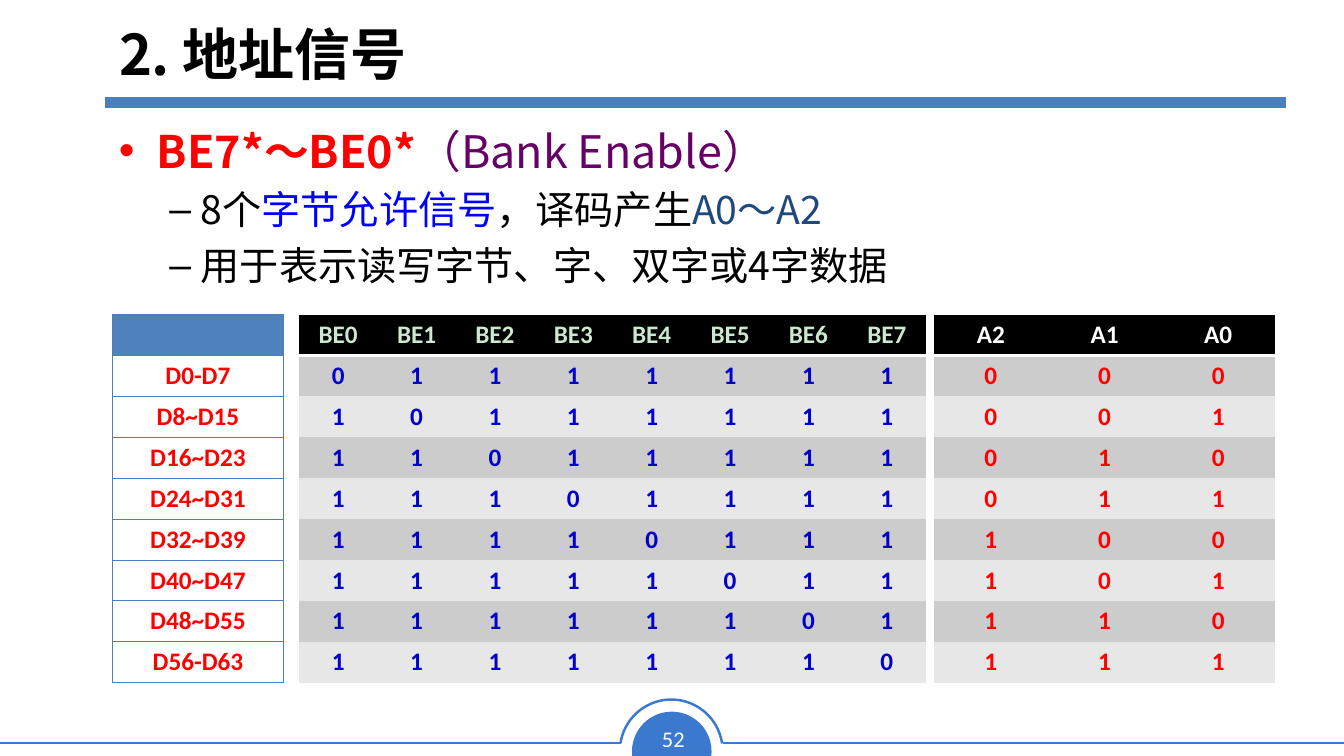
from lxml.etree import SubElement
from pptx import Presentation
from pptx.dml.color import RGBColor
from pptx.enum.shapes import MSO_CONNECTOR, MSO_SHAPE
from pptx.enum.text import MSO_ANCHOR, PP_ALIGN
from pptx.oxml.ns import qn
from pptx.util import Pt

COLORS = {
    "black": "000000", "white": "FFFFFF", "red": "FF0000", "purple": "660066",
    "blue": "0000FF", "navy": "1F497D", "digit": "0000CC", "mint": "CCE8CF",
    "rule": "4B7EBC", "footer": "3B79CE", "header": "4F81BD",
    "dark band": "CCCCCC", "light band": "E7E7E7",
}
CJK_FONT = "Noto Sans CJK SC"
TABLE_TOP, ROW_HEIGHT = 224.8, 29.2
PLAIN_TABLE_STYLE = "{2D5ABB26-0587-4C30-8999-92F81FD0307C}"


def color(name):
    return RGBColor.from_string(COLORS[name])


def format_span(span, size, color_name, bold=False, face="Calibri"):
    font = span.font
    font.size, font.bold, font.name = Pt(size), bold, face
    font.color.rgb = color(color_name)
    SubElement(font._element, qn("a:ea"), typeface=face)


def add_line(page, start, end, color_name, width):
    line = page.shapes.add_connector(MSO_CONNECTOR.STRAIGHT, *map(Pt, start + end))
    line.line.color.rgb = color(color_name)
    line.line.width = Pt(width)
    SubElement(line._element.spPr, qn("a:effectLst"))


def add_round(page, kind, left, top, size, angles):
    shape = page.shapes.add_shape(kind, Pt(left), Pt(top), Pt(size), Pt(size))
    shape.shadow.inherit = False
    shape.adjustments[0], shape.adjustments[1] = angles
    return shape


def add_box(page, left, top, width, height, wrap=True):
    box = page.shapes.add_textbox(Pt(left), Pt(top), Pt(width), Pt(height))
    box.text_frame.word_wrap = wrap
    return box.text_frame


def add_bullet(para, mark, indent, hanging):
    properties = para._p.get_or_add_pPr()
    properties.set("marL", str(Pt(indent)))
    properties.set("indent", str(-Pt(hanging)))
    SubElement(properties, qn("a:buFont"), typeface="Arial")
    SubElement(properties, qn("a:buChar"), char=mark)


def set_borders(cell, sides, color_name, width):
    properties = cell._tc.get_or_add_tcPr()
    for position, side in enumerate(sides):
        line = SubElement(properties, qn(f"a:ln{side}"), w=str(Pt(width)))
        fill = SubElement(line, qn("a:solidFill"))
        SubElement(fill, qn("a:srgbClr"), val=COLORS[color_name])
        properties.insert(position, line)


def add_grid(page, left, column_width, rows, header_color, body_color, banded=True):
    count = len(rows[0])
    frame = page.shapes.add_table(len(rows), count, Pt(left), Pt(TABLE_TOP),
                                  Pt(column_width * count), Pt(ROW_HEIGHT * len(rows)))
    table = frame.table
    table._tbl.tblPr.find(qn("a:tableStyleId")).text = PLAIN_TABLE_STYLE
    table.horz_banding = False
    for column in table.columns:
        column.width = Pt(column_width)
    for index, values in enumerate(rows):
        table.rows[index].height = Pt(ROW_HEIGHT)
        for cell, value in zip(table.rows[index].cells, values):
            cell.text = value
            cell.margin_left = cell.margin_right = Pt(9.4)
            para = cell.text_frame.paragraphs[0]
            para.alignment = PP_ALIGN.CENTER
            for span in para.runs:
                format_span(span, 18, body_color if index else header_color, True)
            if banded:
                band = "dark band" if index % 2 else "light band"
                cell.fill.solid()
                cell.fill.fore_color.rgb = color(band if index else "black")
                if index == 0:
                    set_borders(cell, "B", "white", 2)
            else:
                if index:
                    cell.fill.background()
                else:
                    cell.fill.solid()
                    cell.fill.fore_color.rgb = color("header")
                set_borders(cell, "LRTB", "rule", 0.75)


def add_footer(page):
    dome = add_round(page, MSO_SHAPE.CHORD, 451.4, 508.3, 56.9, (35.77, 153.29))
    dome.rotation = 112.4
    dome.fill.solid()
    dome.fill.fore_color.rgb = color("footer")
    dome.line.fill.background()
    for start, end in ((516.2, 960), (0, 443.5)):
        add_line(page, (start, 530.6), (end, 530.6), "footer", 1.77)
    arc = add_round(page, MSO_SHAPE.ARC, 442.8, 499.7, 73.4, (113.17, 210.98))
    arc.fill.background()
    arc.line.color.rgb = color("footer")
    arc.line.width = Pt(1.77)
    number = add_box(page, 464.4, 514.1, 33.1, 26.6, wrap=False)
    number.text = "52"
    number.paragraphs[0].alignment = PP_ALIGN.CENTER
    format_span(number.paragraphs[0].runs[0], 16, "white")


def add_title(page):
    title = page.shapes.title
    title.left, title.top, title.width, title.height = map(Pt, (77.8, 10.1, 629.3, 55.4))
    frame = title.text_frame
    frame.text = "2. 地址信号"
    frame.vertical_anchor = MSO_ANCHOR.MIDDLE
    frame.paragraphs[0].alignment = PP_ALIGN.LEFT
    format_span(frame.paragraphs[0].runs[0], 40, "black", True, CJK_FONT)
    add_line(page, (74.9, 73.2), (918.7, 73.2), "rule", 8)


def add_points(page):
    # Mark, indent, hanging, size, line height, spans of (text, color, bold)
    points = [
        ("•", 27, 27, 32, 39, [("BE7*～BE0*", "red", True),
                               ("（Bank Enable）", "purple", False)]),
        ("–", 58.5, 22.5, 28, 34, [("8个", "black", False), ("字节允许信号", "blue", False),
                                   ("，译码产生", "black", False), ("A0～A2", "navy", False)]),
        ("–", 58.5, 22.5, 28, 34, [("用于表示读写字节、字、双字或4字数据", "black", False)]),
    ]
    frame = add_box(page, 77.8, 84, 850.3, 138.2)
    for index, (mark, indent, hanging, size, height, spans) in enumerate(points):
        para = frame.add_paragraph() if index else frame.paragraphs[0]
        para.line_spacing = Pt(height)
        if index:
            para.space_before = Pt(5.6)
        add_bullet(para, mark, indent, hanging)
        for text, color_name, bold in spans:
            span = para.add_run()
            span.text = text
            format_span(span, size, color_name, bold, CJK_FONT)


def main():
    deck = Presentation()
    deck.slide_width, deck.slide_height = Pt(960), Pt(540)
    page = deck.slides.add_slide(deck.slide_layouts[5])

    add_footer(page)
    add_title(page)
    add_points(page)

    # Each byte lane has one active-low enable and one three-bit address
    lanes = range(8)
    enables = [[f"BE{lane}" for lane in lanes]]
    enables += [["0" if lane == row else "1" for lane in lanes] for row in lanes]
    addresses = [["A2", "A1", "A0"]] + [list(f"{lane:03b}") for lane in lanes]
    labels = ["", "D0-D7", "D8~D15", "D16~D23", "D24~D31",
              "D32~D39", "D40~D47", "D48~D55", "D56-D63"]
    add_grid(page, 213.6, 56, enables, "mint", "digit")
    add_grid(page, 667.2, 81.2, addresses, "white", "red")
    add_grid(page, 80.4, 122, [[label] for label in labels], "white", "red", banded=False)

    deck.save("out.pptx")


if __name__ == "__main__":
    main()
